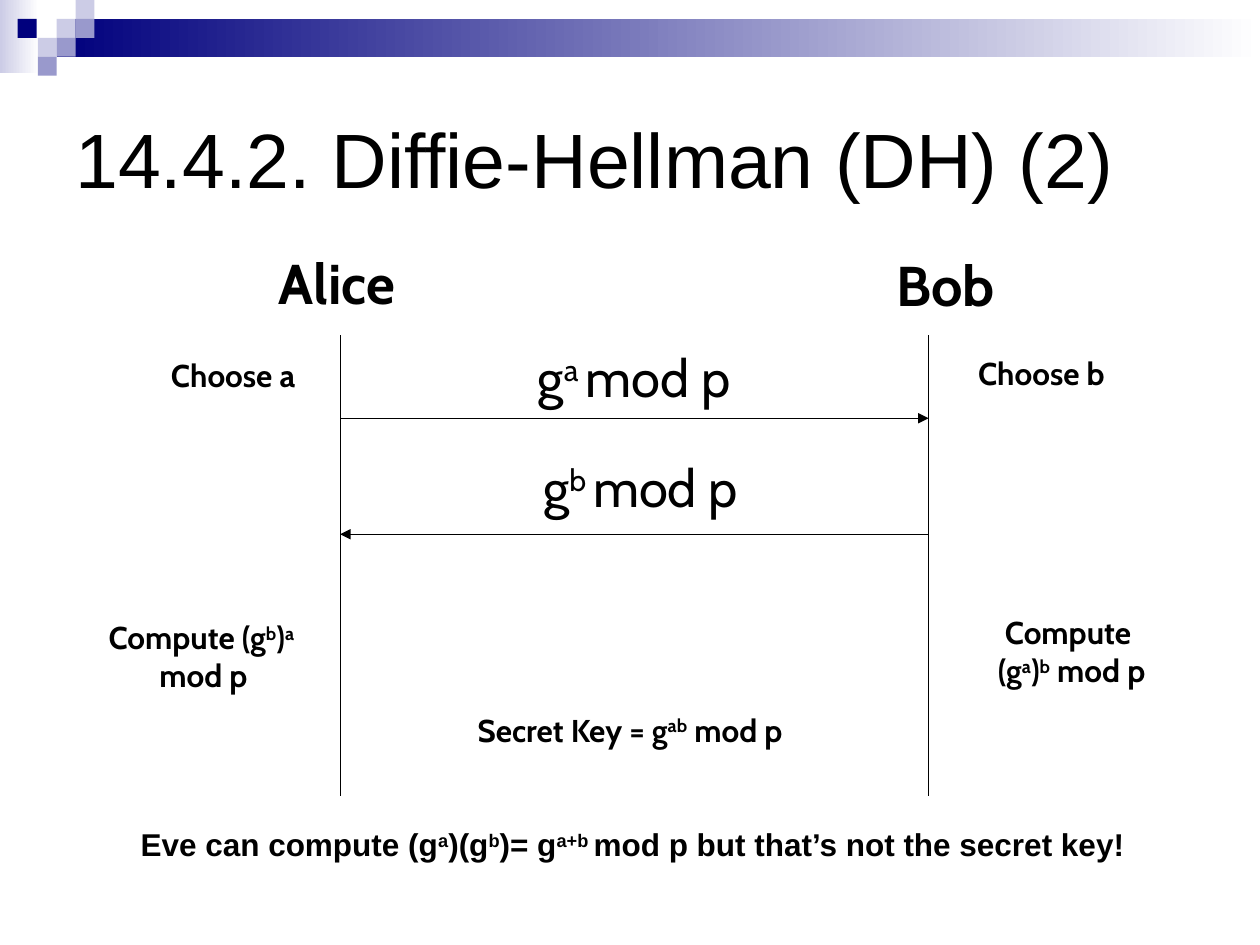
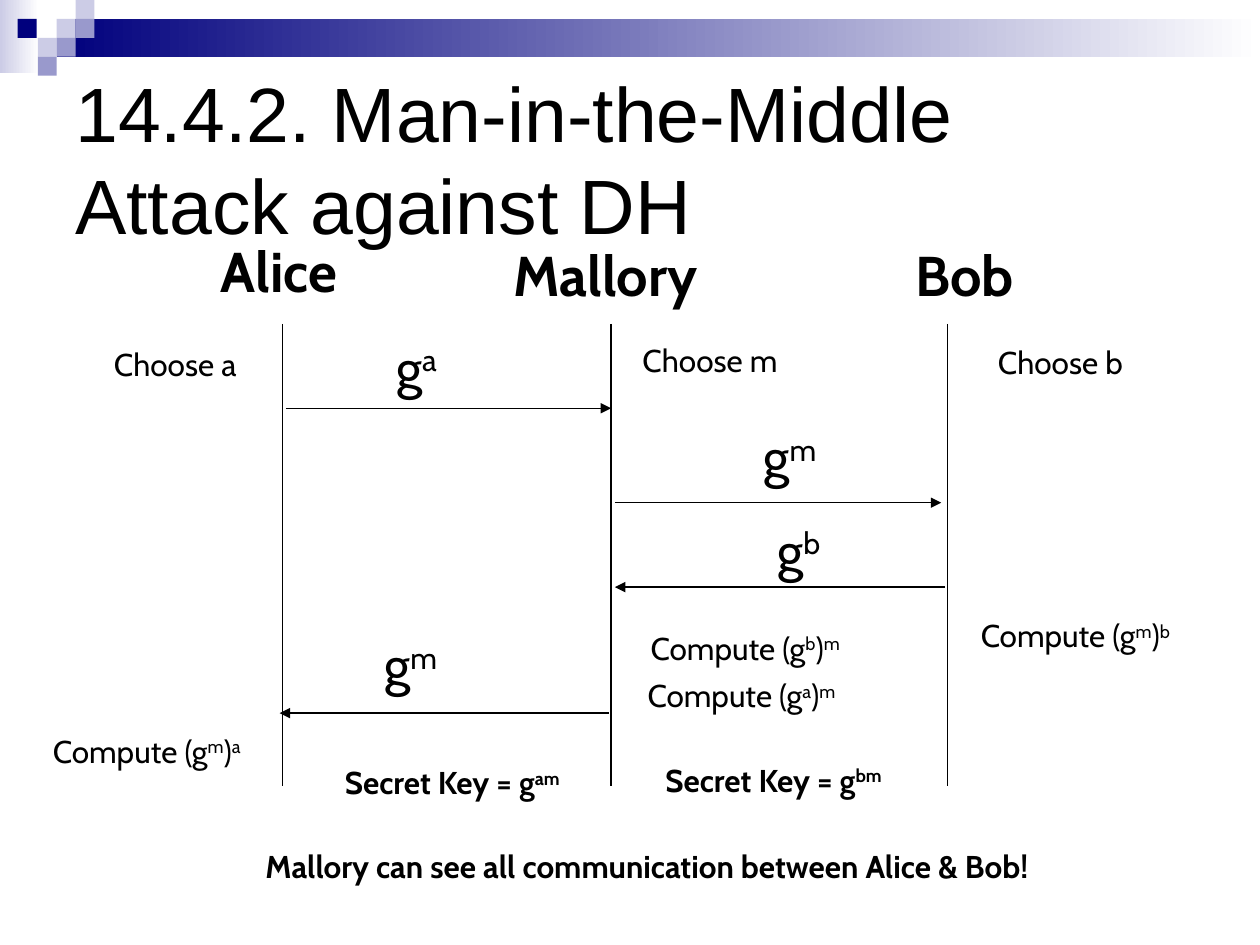
from lxml.etree import SubElement
from pptx import Presentation
from pptx.dml.color import RGBColor
from pptx.enum.shapes import MSO_CONNECTOR, MSO_SHAPE
from pptx.enum.text import MSO_ANCHOR, MSO_AUTO_SIZE, PP_ALIGN
from pptx.oxml.ns import qn
from pptx.util import Inches, Pt

COLORS = {
    "ink": "000000",
    "navy": "00007D",
    "violet": "9999CC",
    "lilac": "CCCCE6",
    "white": "FFFFFF",
}
TILES = [
    (0.45, 0.15, "lilac"),
    (0.6, 0, "lilac"),
    (0.6, 0.15, "violet"),
    (0.3, 0.3, "lilac"),
    (0.14, 0.15, "navy"),
    (0.45, 0.3, "violet"),
    (0.3, 0.45, "violet"),
]


def color(name):
    """Return the RGB colour of a palette name."""
    return RGBColor.from_string(COLORS[name])


def write(frame, text, size=18, font="Cabin", bold=False, align=PP_ALIGN.CENTER):
    """Fill a text frame; carets enclose superscripts and newlines break lines."""
    para = frame.paragraphs[0]
    para.alignment = align
    for index, part in enumerate(text.split("^")):
        for number, line in enumerate(part.split("\n")):
            if number:
                para.add_line_break()
            if not line:
                continue
            span = para.add_run()
            span.text = line
            span.font.size = Pt(size)
            span.font.name = font
            span.font.bold = bold
            span.font.color.rgb = color("ink")
            if index % 2:
                span.font._element.set("baseline", "30000")


class ProtocolDeck:
    """Build protocol slides that share one header and text style."""

    def __init__(self):
        """Open an empty deck of 10 by 7.5 inches."""
        self.deck = Presentation()
        self.deck.slide_width = Inches(10)
        self.deck.slide_height = Inches(7.5)
        self.page = None

    def new_page(self, title):
        """Start a slide with its header and title."""
        self.page = self.deck.slides.add_slide(self.deck.slide_layouts[6])
        self.block(0, 0, 0.31, 0.58, "lilac", fade=True)
        self.block(0.45, 0.15, 9.55, 0.3, "navy", fade=True)
        for left, top, name in TILES:
            self.block(left, top, 0.15, 0.15, name)
        box = self.page.shapes.add_textbox(
            Inches(0.5), Inches(0.5), Inches(9), Inches(1.5))
        box.text_frame.word_wrap = True
        box.text_frame.vertical_anchor = MSO_ANCHOR.MIDDLE
        write(box.text_frame, title, size=44, font="Arial", align=PP_ALIGN.LEFT)

    def block(self, left, top, width, height, name, fade=False):
        """Draw a plain rectangle, optionally fading to white on the right."""
        shape = self.page.shapes.add_shape(
            MSO_SHAPE.RECTANGLE, Inches(left), Inches(top), Inches(width), Inches(height))
        shape.shadow.inherit = False
        shape.line.fill.background()
        if fade:
            shape.fill.gradient()
            shape.fill.gradient_angle = 0
            for stop, shade in zip(shape.fill.gradient_stops, (name, "white")):
                stop.color.rgb = color(shade)
        else:
            shape.fill.solid()
            shape.fill.fore_color.rgb = color(name)

    def label(self, text, left, top, width, size=18, **style):
        """Place centred text that does not wrap."""
        height = {18: 0.4, 30: 0.6, 32: 0.64}[size] + 0.3 * text.count("\n")
        box = self.page.shapes.add_textbox(
            Inches(left), Inches(top), Inches(width), Inches(height))
        box.text_frame.word_wrap = False
        box.text_frame.auto_size = MSO_AUTO_SIZE.SHAPE_TO_FIT_TEXT
        write(box.text_frame, text, size=size, **style)

    def party(self, name, left, top, width):
        """Name one participant."""
        self.label(name, left, top, width, size=32, bold=True)

    def line(self, start, end, arrow=False):
        """Draw a thin line between two points."""
        link = self.page.shapes.add_connector(
            MSO_CONNECTOR.STRAIGHT, *map(Inches, (*start, *end)))
        link.line.width = Pt(0.74)
        link.line.color.rgb = color("ink")
        if arrow:
            SubElement(link.line._get_or_add_ln(), qn("a:tailEnd"), type="triangle")
        SubElement(link._element.spPr, qn("a:effectLst"))

    def lifelines(self, positions, top, bottom):
        """Draw the vertical line of each participant."""
        for x in positions:
            self.line((x, top), (x, bottom))

    def message(self, text, left, top, width, start, end, level):
        """Draw a horizontal arrow with its message."""
        self.line((start, level), (end, level), arrow=True)
        self.label(text, left, top, width, size=30)


def exchange(slides):
    """Build the key exchange between two parties."""
    alice, bob = 2.7, 7.37
    slides.new_page("14.4.2. Diffie-Hellman (DH) (2) ")
    slides.party("Alice", 2.04, 1.92, 1.27)
    slides.party("Bob", 6.98, 1.94, 1.05)
    slides.lifelines((alice, bob), 2.66, 6.32)
    slides.message("g^a ^mod p ", 4.09, 2.69, 1.98, alice, bob, 3.32)
    slides.message("g^b ^mod p", 4.12, 3.56, 1.93, bob, alice, 4.24)
    for text, left, top, width in [
        ("Choose a", 1.19, 2.78, 1.32),
        ("Choose b", 7.6, 2.76, 1.33),
        ("Compute (g^b^)^a \n^mod p", 0.63, 4.86, 1.97),
        ("Compute \n(g^a^)^b^ mod p", 7.73, 4.82, 1.55),
        ("Secret Key = g^ab^ mod p", 3.52, 5.59, 2.96),
    ]:
        slides.label(text, left, top, width, bold=True)
    slides.label("Eve can compute (g^a^)(g^b^)= g^a+b ^mod p but that’s not the secret key!",
                 1.01, 6.5, 8.02, font="Arial", bold=True)


def attack(slides):
    """Build the exchange with an attacker in between."""
    alice, mallory, bob = 2.24, 4.85, 7.52
    slides.new_page("14.4.2. Man-in-the-Middle Attack against DH")
    slides.party("Alice", 1.58, 1.83, 1.27)
    slides.party("Mallory", 3.86, 1.86, 1.89)
    slides.party("Bob", 7.13, 1.86, 1.05)
    slides.lifelines((alice, mallory, bob), 2.57, 6.24)
    slides.message("g^a^", 3.01, 2.61, 0.59, alice + 0.03, mallory, 3.24)
    slides.message("g^m^", 5.93, 3.32, 0.68, mallory + 0.03, bob - 0.05, 3.99)
    slides.message("g^b^", 6.04, 4.06, 0.6, bob - 0.02, mallory + 0.03, 4.66)
    slides.message("g^m^", 2.92, 4.97, 0.68, mallory - 0.02, alice - 0.02, 5.66)
    for secret, left, top, width in [
        ("a", 0.75, 2.69, 1.28),
        ("m", 4.95, 2.66, 1.37),
        ("b", 7.77, 2.67, 1.29),
    ]:
        slides.label(f"Choose {secret}", left, top, width)
    for received, own, left, top in [
        ("m", "a", 0.23, 5.76),
        ("m", "b", 7.6, 4.84),
        ("b", "m", 4.98, 4.94),
        ("a", "m", 4.95, 5.32),
    ]:
        slides.label(f"Compute (g^{received}^)^{own}^", left, top, 1.87)
    for power, left, top in [("am", 2.51, 6.01), ("bm", 5.06, 5.99)]:
        slides.label(f"Secret Key = g^{power}^", left, top, 2.16, bold=True)
    slides.label("Mallory can see all communication between Alice & Bob!",
                 1.52, 6.67, 7.23, bold=True)


def main():
    """Build both slides and save the deck."""
    slides = ProtocolDeck()
    exchange(slides)
    attack(slides)
    slides.deck.save("out.pptx")


main()
